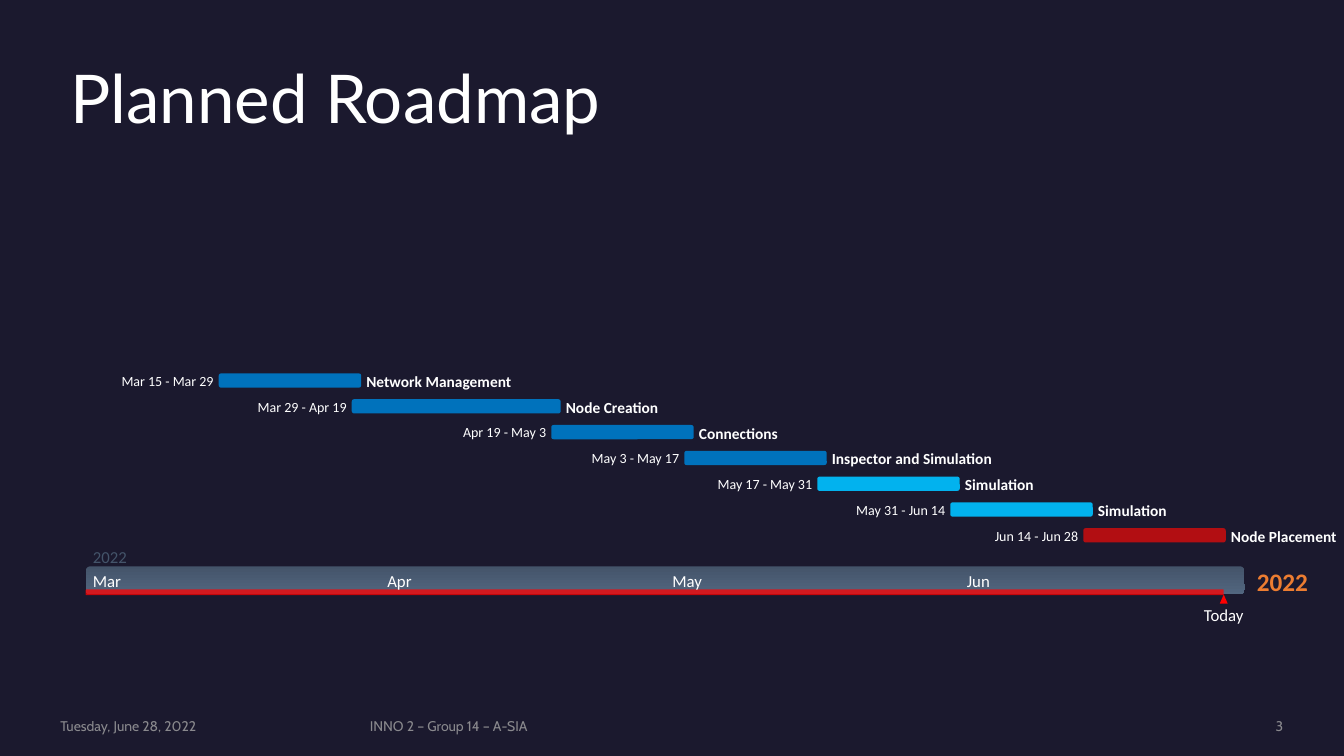
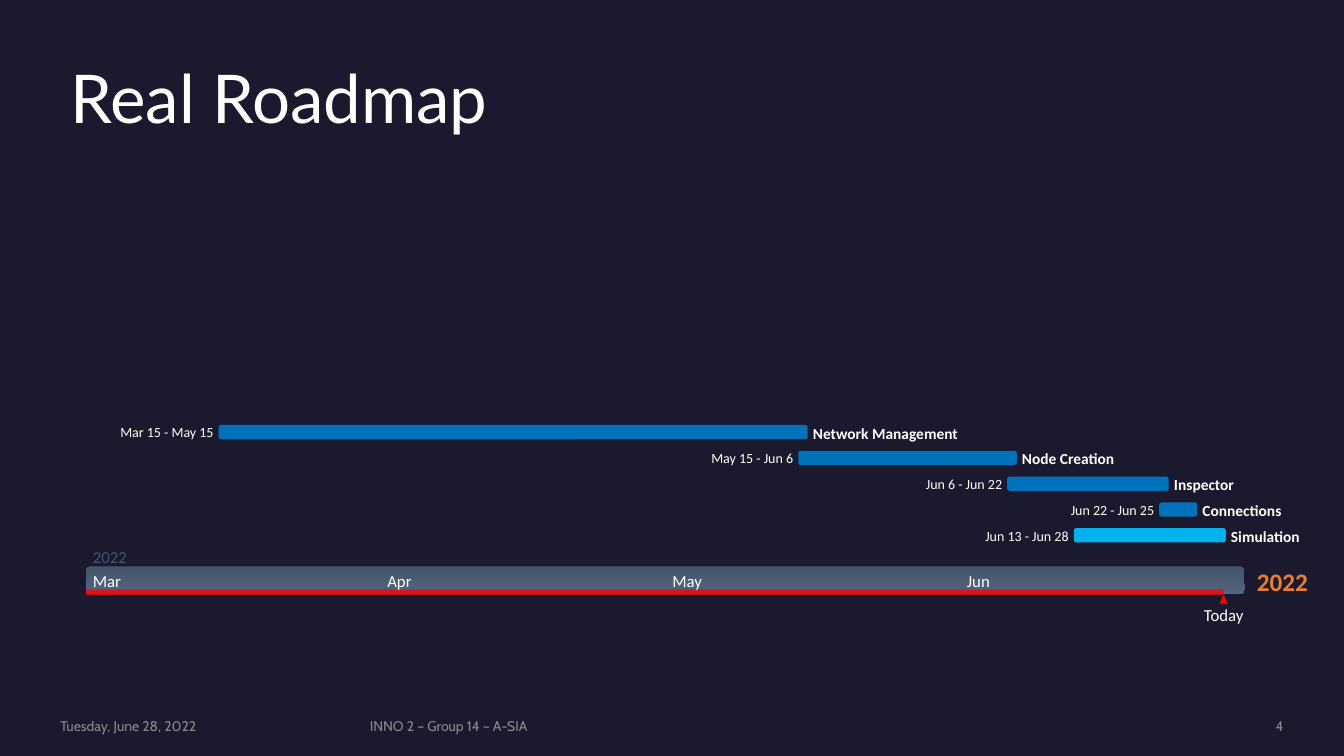
import lxml.etree
import pptx
import pptx.util
import pptx.dml.color
import pptx.enum.shapes
import pptx.enum.text
import pptx.oxml.ns

Cm = pptx.util.Cm
Shape = pptx.enum.shapes.MSO_SHAPE
Align = pptx.enum.text.PP_ALIGN
Anchor = pptx.enum.text.MSO_ANCHOR

SLIDE_WIDTH, SLIDE_HEIGHT = 33.87, 19.05
NAVY, WHITE, GREY, SLATE, STEEL = "1B192E", "FFFFFF", "A6A6A6", "44546A", "52667F"
ORANGE, RED, BLUE, CYAN, CRIMSON = "ED7D31", "FF0000", "0072BC", "02B2EE", "B20E12"

MONTH_STARTS = {"Mar": 0, "Apr": 31, "May": 61, "Jun": 92}
DAYS_SHOWN = 122
BAND_LEFT, BAND_TOP, BAND_WIDTH, BAND_HEIGHT = 2.16, 14.27, 29.21, 0.71
PROGRESS_WIDTH, PROGRESS_HEIGHT = 28.68, 0.15
LAST_ROW_TOP, ROW_PITCH, BAR_HEIGHT = 13.31, 0.65, 0.36
LABEL_GAP, MONTH_INSET = 0.13, 0.18

PLANNED = [
    ("Mar 15 - Mar 29", "Network Management", BLUE),
    ("Mar 29 - Apr 19", "Node Creation", BLUE),
    ("Apr 19 - May 3", "Connections", BLUE),
    ("May 3 - May 17", "Inspector and Simulation", BLUE),
    ("May 17 - May 31", "Simulation", CYAN),
    ("May 31 - Jun 14", "Simulation", CYAN),
    ("Jun 14 - Jun 28", "Node Placement", CRIMSON),
]
REAL = [
    ("Mar 15 - May 15", "Network Management", BLUE),
    ("May 15 - Jun 6", "Node Creation", BLUE),
    ("Jun 6 - Jun 22", "Inspector", BLUE),
    ("Jun 22 - Jun 25", "Connections", BLUE),
    ("Jun 13 - Jun 28", "Simulation", CYAN),
]


def rgb(value):
    return pptx.dml.color.RGBColor.from_string(value)


def set_opacity(shape, percent):
    color = next(shape.element.iter(pptx.oxml.ns.qn("a:srgbClr")))
    alpha = lxml.etree.SubElement(color, pptx.oxml.ns.qn("a:alpha"))
    alpha.set("val", str(percent * 1000))


def day_x(day):
    return BAND_LEFT + day * BAND_WIDTH / DAYS_SHOWN


def day_number(date):
    month, day = date.split()
    return MONTH_STARTS[month] + int(day) - 1


class RoadmapDeck:
    """Roadmap slides with a shared style and a month timeline."""

    def __init__(self):
        self.prs = pptx.Presentation()
        self.prs.slide_width = Cm(SLIDE_WIDTH)
        self.prs.slide_height = Cm(SLIDE_HEIGHT)
        background = self.prs.slide_master.background.fill
        background.solid()
        background.fore_color.rgb = rgb(NAVY)
        self.slide = None

    def style(self, paragraph, size, color, font="Calibri", bold=False, align=Align.LEFT):
        paragraph.alignment = align
        paragraph.font.name = font
        paragraph.font.size = pptx.util.Pt(size)
        paragraph.font.bold = bold
        paragraph.font.color.rgb = rgb(color)

    def text(self, words, left, top, width, height, size, color=WHITE, **look):
        box = self.slide.shapes.add_textbox(Cm(left), Cm(top), Cm(width), Cm(height))
        frame = box.text_frame
        frame.margin_left = frame.margin_right = frame.margin_top = frame.margin_bottom = 0
        frame.word_wrap = True
        frame.vertical_anchor = Anchor.MIDDLE
        frame.text = words
        self.style(frame.paragraphs[0], size, color, **look)
        return box

    def shape(self, kind, left, top, width, height, *colors):
        shape = self.slide.shapes.add_shape(kind, Cm(left), Cm(top), Cm(width), Cm(height))
        shape.shadow.inherit = False
        shape.line.fill.background()
        if len(colors) == 1:
            shape.fill.solid()
            shape.fill.fore_color.rgb = rgb(colors[0])
        else:
            shape.fill.gradient()
            shape.fill.gradient_angle = 270
            for stop, color in zip(shape.fill.gradient_stops, colors):
                stop.color.rgb = rgb(color)
        return shape

    def title(self, words):
        title = self.slide.shapes.title
        title.left, title.top, title.width, title.height = Cm(1.52), Cm(1.52), Cm(30.81), Cm(3.71)
        frame = title.text_frame
        frame.text = words
        frame.vertical_anchor = Anchor.TOP
        frame.auto_size = pptx.enum.text.MSO_AUTO_SIZE.NONE
        frame.paragraphs[0].line_spacing = 0.9
        self.style(frame.paragraphs[0], 48, WHITE, font="Lato")

    def footer(self, number):
        for words, left, width, align in (
            ("Tuesday, June 28, 2022", 1.52, 7.32, Align.LEFT),
            ("INNO 2 – Group 14 – A-SIA", 9.32, 17.73, Align.LEFT),
            (str(number), 27.64, 4.7, Align.RIGHT),
        ):
            box = self.text(words, left, 18.08, width, 0.43, 10, GREY, font="Cabin", align=align)
            set_opacity(box, 80)

    def timeline(self):
        band_bottom = BAND_TOP + BAND_HEIGHT
        today = BAND_LEFT + PROGRESS_WIDTH
        self.text("2022", 31.52, 14.25, 1.6, 0.79, 18, ORANGE, bold=True, align=Align.CENTER)
        self.shape(Shape.ROUNDED_RECTANGLE, BAND_LEFT, BAND_TOP, BAND_WIDTH, BAND_HEIGHT, SLATE, STEEL)
        progress = self.shape(Shape.ROUNDED_RECTANGLE, BAND_LEFT, band_bottom - PROGRESS_HEIGHT + 0.02,
                              PROGRESS_WIDTH, PROGRESS_HEIGHT, RED)
        set_opacity(progress, 75)
        self.shape(Shape.ISOSCELES_TRIANGLE, today - 0.1, band_bottom, 0.2, 0.23, RED)
        self.text("Today", today - 1, 15.24, 2, 0.5, 12, align=Align.CENTER)
        for month, start in MONTH_STARTS.items():
            self.text(month, day_x(start) + MONTH_INSET, 14.4, 1.5, 0.48, 12)
        self.text("2022", BAND_LEFT + MONTH_INSET, 13.77, 1.5, 0.5, 12, SLATE)

    def task(self, dates, name, color, top):
        first, last = map(day_number, dates.split(" - "))
        left, right = day_x(first), day_x(last + 1)
        label_left = right + LABEL_GAP
        self.shape(Shape.ROUNDED_RECTANGLE, left, top, right - left, BAR_HEIGHT, color)
        self.text(dates, left - LABEL_GAP - 3, top - 0.03, 3, 0.43, 10, align=Align.RIGHT)
        self.text(name, label_left, top - 0.04, min(5, SLIDE_WIDTH - label_left), 0.48, 11, bold=True)

    def roadmap(self, title, number, tasks):
        self.slide = self.prs.slides.add_slide(self.prs.slide_layouts[5])
        self.title(title)
        self.footer(number)
        self.timeline()
        first_top = LAST_ROW_TOP - (len(tasks) - 1) * ROW_PITCH
        for row, (dates, name, color) in enumerate(tasks):
            self.task(dates, name, color, first_top + row * ROW_PITCH)


def main():
    deck = RoadmapDeck()
    deck.roadmap("Planned Roadmap", 3, PLANNED)
    deck.roadmap("Real Roadmap", 4, REAL)
    deck.prs.save("out.pptx")


if __name__ == "__main__":
    main()
